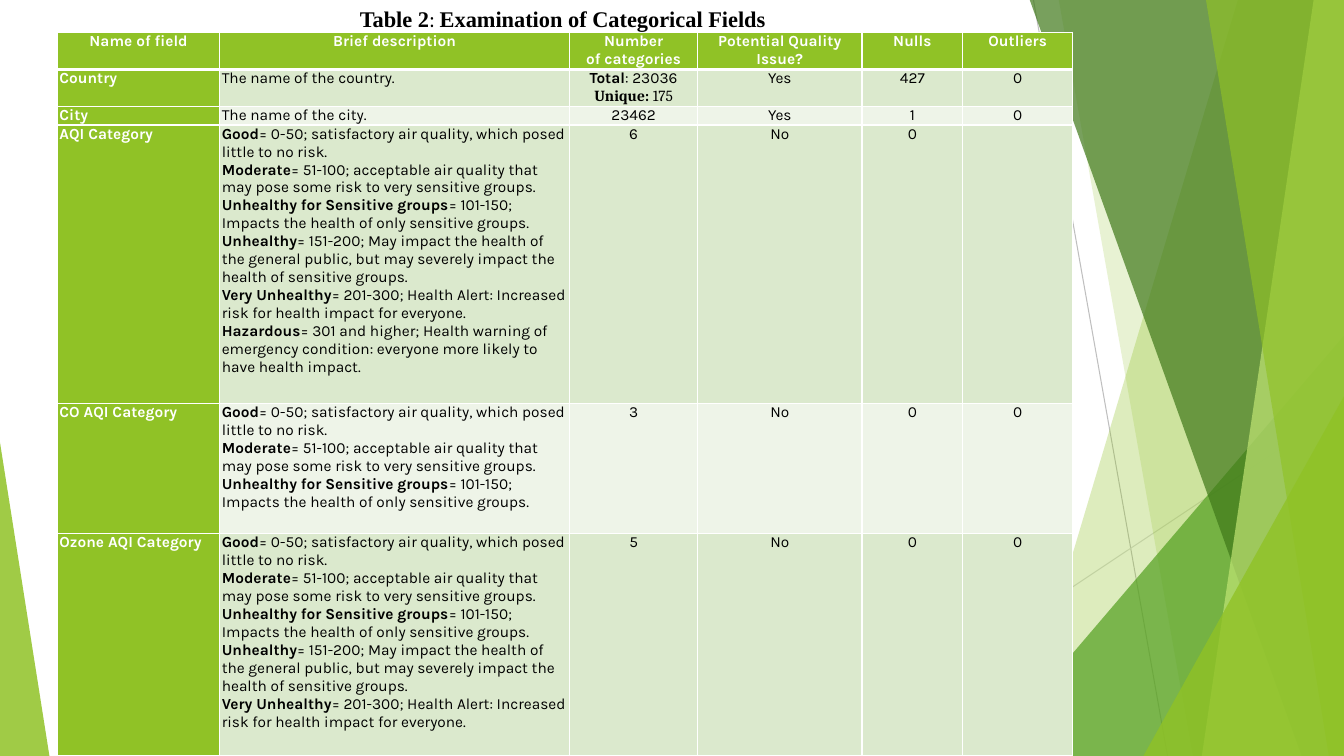
from lxml import etree
from pptx import Presentation
from pptx.dml.color import RGBColor
from pptx.enum.shapes import MSO_CONNECTOR, MSO_SHAPE
from pptx.enum.text import PP_ALIGN
from pptx.oxml.ns import qn
from pptx.util import Inches, Pt

STRAIGHT = MSO_CONNECTOR.STRAIGHT
TRIANGLE = MSO_SHAPE.ISOSCELES_TRIANGLE
CENTER, LEFT = PP_ALIGN.CENTER, PP_ALIGN.LEFT

WIDTH, HEIGHT = 13.33, 7.5
BLEED_TOP = -0.01
COLORS = {
    "lime": "90C226", "green": "54A021", "forest": "3F7819", "pale": "C0E474",
    "row_dark": "DBE9CD", "row_light": "EEF4E8", "white": "FFFFFF",
    "black": "000000", "line_dark": "BFBFBF", "line_light": "D9D9D9",
}
BODY, SERIF, TITLE = "Karla", "Cambria", "Times New Roman"

COLUMNS = [1.61, 3.47, 1.27, 1.63, 1, 1.09]
ROWS = [0.37, 0.37, 0.18, 2.76, 1.29, 2.21]
HEADERS = [["Name of field"], ["Brief description"], ["Number", "of categories"],
           ["Potential Quality Issue?"], ["Nulls"], ["Outliers"]]
LEVELS = [
    ("Good", "= 0-50; satisfactory air quality, which posed little to no risk."),
    ("Moderate", "= 51-100; acceptable air quality that may pose some risk "
                 "to very sensitive groups."),
    ("Unhealthy for Sensitive groups",
     "= 101-150; Impacts the health of only sensitive groups."),
    ("Unhealthy", "= 151-200; May impact the health of the general public, "
                  "but may severely impact the health of sensitive groups."),
    ("Very Unhealthy", "= 201-300; Health Alert: Increased risk for health "
                       "impact for everyone."),
    ("Hazardous", "= 301 and higher; Health warning of emergency condition: "
                  "everyone more likely to have health impact."),
]


def color(name):
    return RGBColor.from_string(COLORS[name])


def add_run(para, text, size=11, font=BODY, ink="black", bold=False):
    span = para.add_run()
    span.text = text
    span.font.size = Pt(size)
    span.font.name = font
    span.font.bold = bold
    span.font.color.rgb = color(ink)


def paint(shape, fill, opacity):
    """Fill a shape at an opacity in percent, without outline or shadow."""
    shape.shadow.inherit = False
    shape.line.fill.background()
    shape.fill.solid()
    shape.fill.fore_color.rgb = color(fill)
    tint = shape.element.spPr.find(qn("a:solidFill"))[0]
    etree.SubElement(tint, qn("a:alpha"), val=str(opacity * 1000))


def add_band(slide, top_x, bottom_x, fill, opacity):
    """Draw a full-height band from a slanted left edge to the slide's right edge."""
    builder = slide.shapes.build_freeform(Inches(top_x), Inches(BLEED_TOP))
    corners = [(WIDTH, BLEED_TOP), (WIDTH, HEIGHT), (bottom_x, HEIGHT)]
    builder.add_line_segments([(Inches(x), Inches(y)) for x, y in corners])
    paint(builder.convert_to_shape(), fill, opacity)


def add_triangle(slide, left, top, width, apex, fill, opacity):
    """Draw a triangle standing on the slide's bottom edge."""
    shape = slide.shapes.add_shape(TRIANGLE, Inches(left), Inches(top),
                                   Inches(width), Inches(HEIGHT - top))
    shape.adjustments[0] = apex
    paint(shape, fill, opacity)


def add_line(slide, start, end, ink):
    line = slide.shapes.add_connector(STRAIGHT, *map(Inches, start + end))
    line.line.color.rgb = color(ink)
    line.line.width = Pt(0.75)
    etree.SubElement(line.element.spPr, qn("a:effectLst"))


def add_backdrop(slide):
    add_line(slide, (10.25, 0), (11.58, HEIGHT), "line_dark")
    add_line(slide, (WIDTH, 4.03), (8.12, HEIGHT), "line_light")
    add_band(slide, 12.28, 10.04, "lime", 30)
    add_band(slide, 10.5, 11.83, "lime", 20)
    add_triangle(slide, 9.77, 3.33, 3.56, 1, "green", 72)
    add_band(slide, 10.21, 12.91, "forest", 70)
    add_band(slide, 13.03, 11.92, "pale", 70)
    add_band(slide, 11.96, 13.18, "lime", 65)
    add_triangle(slide, 11.34, 3.93, 1.99, 1, "lime", 80)
    add_triangle(slide, 0, 4.39, 0.49, 0, "lime", 85)


def set_borders(cell, top, bottom):
    """Give a cell white borders; top and bottom widths are in points."""
    properties = cell._tc.get_or_add_tcPr()
    sides = {"lnL": 1, "lnR": 1, "lnT": top, "lnB": bottom}
    for position, (side, width) in enumerate(sides.items()):
        border = etree.Element(qn(f"a:{side}"), w=str(Pt(width)))
        fill = etree.SubElement(border, qn("a:solidFill"))
        etree.SubElement(fill, qn("a:srgbClr"), val=COLORS["white"])
        properties.insert(position, border)


def fill_cell(cell, paragraphs, fill, align):
    """Write paragraphs, each a list of (text, run options), into a cell."""
    cell.margin_left = cell.margin_right = Inches(0.02)
    cell.margin_top = cell.margin_bottom = 0
    cell.fill.solid()
    cell.fill.fore_color.rgb = color(fill)
    frame = cell.text_frame
    for index, spans in enumerate(paragraphs):
        para = frame.add_paragraph() if index else frame.paragraphs[0]
        para.alignment = align
        for text, options in spans:
            add_run(para, text, **options)


def plain(text):
    return [[(text, {})]] if text else []


def describe(count):
    """Return the first air quality levels as label and explanation runs."""
    return [[(label, {"bold": True}), (meaning, {})]
            for label, meaning in LEVELS[:count]]


def add_field_table(slide):
    table = slide.shapes.add_table(
        len(ROWS), len(COLUMNS), Inches(0.57), Inches(0.32),
        Inches(sum(COLUMNS)), Inches(sum(ROWS))).table
    for column, width in zip(table.columns, COLUMNS):
        column.width = Inches(width)
    for row, height in zip(table.rows, ROWS):
        row.height = Inches(height)

    label = {"ink": "white", "bold": True}
    country_counts = [
        [("Total", {"bold": True}), (": 23036", {})],
        [("Unique: ", {"font": SERIF, "bold": True}), ("175", {"font": SERIF})],
    ]
    fields = [
        ("Country", plain("The name of the country."), country_counts,
         "Yes", "427", "0"),
        ("City", plain("The name of the city."), plain("23462"), "Yes", "1", "0"),
        ("AQI Category", describe(6), plain("6"), "No", "0", ""),
        ("CO AQI Category", describe(3), plain("3"), "No", "0", "0"),
        ("Ozone AQI Category", describe(5), plain("5"), "No", "0", "0"),
    ]
    for column, lines in enumerate(HEADERS):
        cell = table.cell(0, column)
        fill_cell(cell, [[(line, label)] for line in lines], "lime", CENTER)
        set_borders(cell, 1, 3)
    for row, (name, description, counts, *results) in enumerate(fields, 1):
        contents = [[[(name, label)]], description, counts, *map(plain, results)]
        shade = "row_dark" if row % 2 else "row_light"
        for column, paragraphs in enumerate(contents):
            cell = table.cell(row, column)
            fill_cell(cell, paragraphs, shade if column else "lime",
                      CENTER if column > 1 else LEFT)
            set_borders(cell, 3 if row == 1 else 1, 1)


def add_title(slide):
    box = slide.shapes.add_textbox(Inches(3.47), Inches(0), Inches(6.86), Inches(0.37))
    box.text_frame.word_wrap = True
    para = box.text_frame.paragraphs[0]
    add_run(para, "Table 2", 16, TITLE, bold=True)
    add_run(para, ": ", 16, SERIF)
    add_run(para, "Examination of Categorical Fields", 16, TITLE, bold=True)


def main():
    deck = Presentation()
    deck.slide_width, deck.slide_height = Inches(WIDTH), Inches(HEIGHT)
    page = deck.slides.add_slide(deck.slide_layouts[6])
    add_backdrop(page)
    add_field_table(page)
    add_title(page)
    deck.save("out.pptx")


if __name__ == "__main__":
    main()
